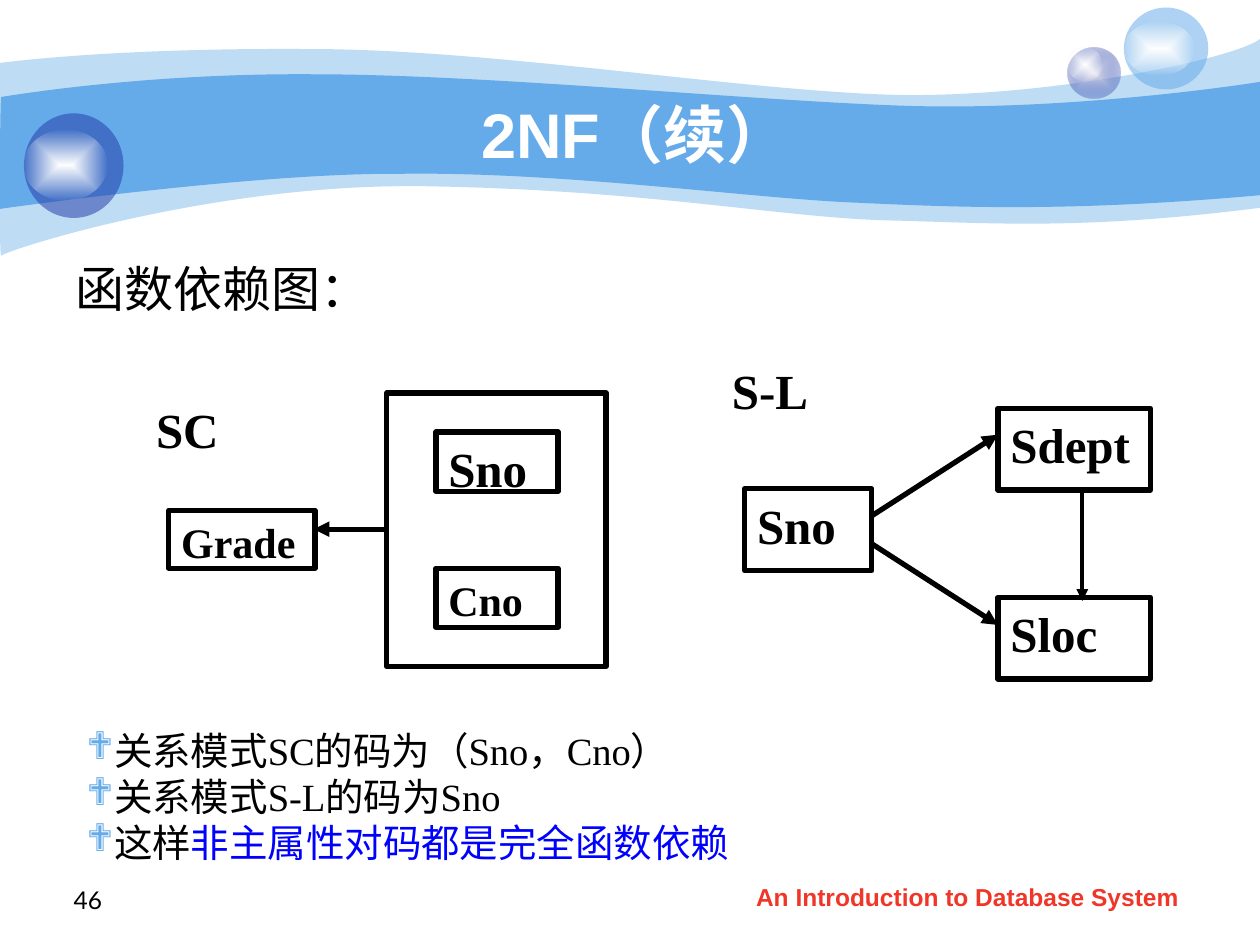
import pptx
import pptx.util
import pptx.oxml
import pptx.oxml.ns
import pptx.dml.color
import pptx.enum.text
import pptx.enum.shapes

Inches = pptx.util.Inches
Pt = pptx.util.Pt
Align = pptx.enum.text.PP_ALIGN
Anchor = pptx.enum.text.MSO_ANCHOR
Shape = pptx.enum.shapes.MSO_SHAPE
qn = pptx.oxml.ns.qn

HUES = {"black": "000000", "white": "FFFFFF", "sky": "65AAE9", "navy": "233DA9",
        "mist": "E1E2ED", "red": "F03628", "blue": "0000FF"}
SERIF = "Times New Roman"
OUTER = ((0, 0.5), [
    (0.24, 0.47, 1.07, 0.38, 2.47, 0.39), (3.86, 0.39, 5.75, 0.7, 6.99, 0.75),
    (8.22, 0.8, 9.8, 0.47, 10, 0.31), (10, 1.65),
    (8.58, 1.83, 7.87, 1.77, 7.05, 1.75), (6.22, 1.73, 5.15, 1.51, 3.43, 1.48),
    (1.72, 1.44, 0.04, 1.99, 0.01, 2.03), (-0.01, 2.08, 0, 0.75, 0, 0.5)])
INNER = ((0.01, 0.77), [
    (0.02, 0.77, 1.1, 0.58, 2.48, 0.59), (3.86, 0.59, 5.95, 0.8, 7.18, 0.84),
    (8.41, 0.88, 9.76, 0.69, 10, 0.65), (10, 1.55),
    (8.53, 1.68, 7.65, 1.65, 6.82, 1.61), (5.99, 1.58, 4.47, 1.36, 3.17, 1.38),
    (2.03, 1.37, -0.02, 1.66, -0.01, 1.66), (0, 1.66, 0, 0.77, 0.01, 0.77)])


def color(name):
    return pptx.dml.color.RGBColor.from_string(HUES[name])


def node(tag, parent, **attrs):
    item = pptx.oxml.parse_xml(f"<{tag} {pptx.oxml.ns.nsdecls('a')}/>")
    for key, value in attrs.items():
        item.set(key, str(value))
    parent.append(item)
    return item


def tint(shape, name, alpha=100):
    shape.shadow.inherit = False
    shape.line.fill.background()
    shape.fill.solid()
    shape.fill.fore_color.rgb = color(name)
    if alpha < 100:
        fill = shape._element.spPr.find(qn("a:solidFill"))
        node("a:alpha", fill[0], val=alpha * 1000)


def glow(shape, inner, outer, alpha):
    tint(shape, inner)
    props = shape._element.spPr
    fill = pptx.oxml.parse_xml(f"<a:gradFill {pptx.oxml.ns.nsdecls('a')}/>")
    props.replace(props.find(qn("a:solidFill")), fill)
    stops = node("a:gsLst", fill)
    for pos, name, part in ((0, inner, 100), (100, outer, alpha)):
        stop = node("a:gs", stops, pos=pos * 1000)
        tone = node("a:srgbClr", stop, val=HUES[name])
        if part < 100:
            node("a:alpha", tone, val=part * 1000)
    path = node("a:path", fill, path="shape")
    node("a:fillToRect", path, l=50000, t=50000, r=50000, b=50000)


def place(shape, box):
    shape.left, shape.top, shape.width, shape.height = map(Inches, box)


def write(shape, lines, size=28, font=SERIF, hue="black", bold=False,
          align=Align.LEFT, anchor=Anchor.TOP, wrap=True, bullet=None, hang=None):
    frame = shape.text_frame
    frame.word_wrap = wrap
    frame.auto_size = pptx.enum.text.MSO_AUTO_SIZE.NONE
    frame.vertical_anchor = anchor
    for num, runs in enumerate(lines):
        para = frame.add_paragraph() if num else frame.paragraphs[0]
        props = para._p.get_or_add_pPr()
        if hang is not None:
            props.set("marL", str(Inches(hang)))
            props.set("indent", str(-Inches(hang)))
        if bullet:
            node("a:srgbClr", node("a:buClr", props), val=HUES["sky"])
            node("a:buFont", props, typeface="Wingdings", charset=2)
            node("a:buChar", props, char=bullet)
        elif hang:
            node("a:buNone", props)
        para.alignment = align
        para.space_before = Pt(0)
        for text, tone in runs:
            run = para.add_run()
            run.text = text
            run.font.size = Pt(size)
            run.font.name = font
            run.font.bold = bold
            run.font.color.rgb = color(tone or hue)


def label(slide, box, text, **style):
    shape = slide.shapes.add_textbox(*map(Inches, box))
    write(shape, [[(text, None)]], **style)


def frame(slide, box, text=None, size=28):
    shape = slide.shapes.add_shape(Shape.RECTANGLE, *map(Inches, box))
    shape.shadow.inherit = False
    shape.fill.background()
    shape.line.color.rgb = color("black")
    shape.line.width = Pt(3)
    if text:
        write(shape, [[(text, None)]], size=size, bold=True, align=Align.JUSTIFY)


def arrow(slide, start, end, width=3):
    kind = pptx.enum.shapes.MSO_CONNECTOR.STRAIGHT
    link = slide.shapes.add_connector(kind, *map(Inches, start + end))
    link.line.color.rgb = color("black")
    link.line.width = Pt(width)
    node("a:tailEnd", link.line._get_or_add_ln(), type="triangle")
    node("a:effectLst", link._element.spPr)


def wave(slide, outline, alpha):
    start, parts = outline
    pen = slide.shapes.build_freeform(*map(Inches, start), scale=1.0)
    for part in parts:
        dots = zip(part[::2], part[1::2])
        pen.add_line_segments([tuple(map(Inches, dot)) for dot in dots], close=False)
    shape = pen.convert_to_shape()
    path = next(shape._element.iter(qn("a:path")))
    lines = iter(path.findall(qn("a:lnTo")))
    for part in parts:
        group = [next(lines) for _ in range(len(part) // 2)]
        if len(group) == 3:
            bend = node("a:cubicBezTo", path)
            group[0].addprevious(bend)
            for line in group:
                bend.append(line[0])
                path.remove(line)
    node("a:close", path)
    tint(shape, "sky", alpha)


def ball(slide, box, shine, name, alpha, core=None):
    disc = slide.shapes.add_shape(Shape.OVAL, *map(Inches, box))
    if core:
        glow(disc, core, name, alpha)
    else:
        tint(disc, name, alpha)
    spot = slide.shapes.add_shape(Shape.OVAL, *map(Inches, shine))
    glow(spot, "white", "white", 0)


def banner(slide):
    wave(slide, OUTER, 41)
    wave(slide, INNER, 100)
    ball(slide, (8.47, 0.38, 0.42, 0.4), (8.47, 0.38, 0.28, 0.27), "navy", 31, "mist")
    ball(slide, (8.92, 0.06, 0.67, 0.65), (8.92, 0.17, 0.56, 0.43), "sky", 53)
    ball(slide, (0.19, 0.9, 0.79, 0.83), (0.19, 1.03, 0.66, 0.56), "navy", 53)


def heading(slide):
    title, body = slide.placeholders
    for part in (title, body):
        slide.shapes._spTree.append(part._element)
    place(title, (1, 0.75, 8.08, 0.62))
    write(title, [[("2NF（续）", None)]], size=36, font="Arial", hue="white", bold=True,
          align=Align.CENTER, anchor=Anchor.MIDDLE)
    place(body, (0.5, 2, 9, 4.92))
    write(body, [[("函数依赖图：", None)]], font="Arial", hang=0.38)


def grades(slide, x, y):
    frame(slide, (x + 1.93, y, 1.74, 2.17))
    for text, drop, size in (("Sno", 0.31, 28), ("Cno", 1.39, 24)):
        frame(slide, (x + 2.32, y + drop, 0.97, 0.47), text, size)
    frame(slide, (x + 0.2, y + 0.93, 1.16, 0.46), "Grade", 24)
    arrow(slide, (x + 1.93, y + 1.08), (x + 1.35, y + 1.08))
    label(slide, (x, y, 0.97, 0.46), "SC", bold=True, align=Align.JUSTIFY)


def places(slide, x, y):
    label(slide, (x, y, 1.21, 0.65), "S-L", bold=True, align=Align.JUSTIFY)
    frame(slide, (x + 0.2, y + 1.07, 1.01, 0.65), "Sno")
    for text, drop, start, end in (("Sdept", 0.43, 1.29, 0.64), ("Sloc", 1.93, 1.5, 2.15)):
        frame(slide, (x + 2.21, y + drop, 1.21, 0.65), text)
        arrow(slide, (x + 1.2, y + start), (x + 2.21, y + end))
    arrow(slide, (x + 2.88, y + 1.1), (x + 2.88, y + 1.96), 2.25)


def notes(slide, box):
    shape = slide.shapes.add_textbox(*map(Inches, box))
    lines = [[("关系模式SC的码为（Sno，Cno）", None)],
             [("关系模式S-L的码为Sno", None)],
             [("这样", None), ("非主属性对码都是完全函数依赖", "blue")]]
    write(shape, lines, size=22, anchor=Anchor.MIDDLE, wrap=False, bullet="❖", hang=0)


def footer(slide):
    label(slide, (5.71, 6.95, 3.94, 0.35), "An Introduction to Database System", size=14,
          font="Arial", hue="red", bold=True, align=Align.CENTER)
    label(slide, (0.27, 6.81, 0.64, 0.5), "46", size=14, font="Lato",
          align=Align.RIGHT, anchor=Anchor.BOTTOM)


def main():
    deck = pptx.Presentation()
    deck.slide_width, deck.slide_height = Inches(10), Inches(7.5)
    slide = deck.slides.add_slide(deck.slide_layouts[1])
    banner(slide)
    footer(slide)
    heading(slide)
    grades(slide, 1.14, 3.12)
    places(slide, 5.71, 2.81)
    notes(slide, (0.59, 5.72, 5.43, 1.2))
    deck.save("out.pptx")


if __name__ == "__main__":
    main()
